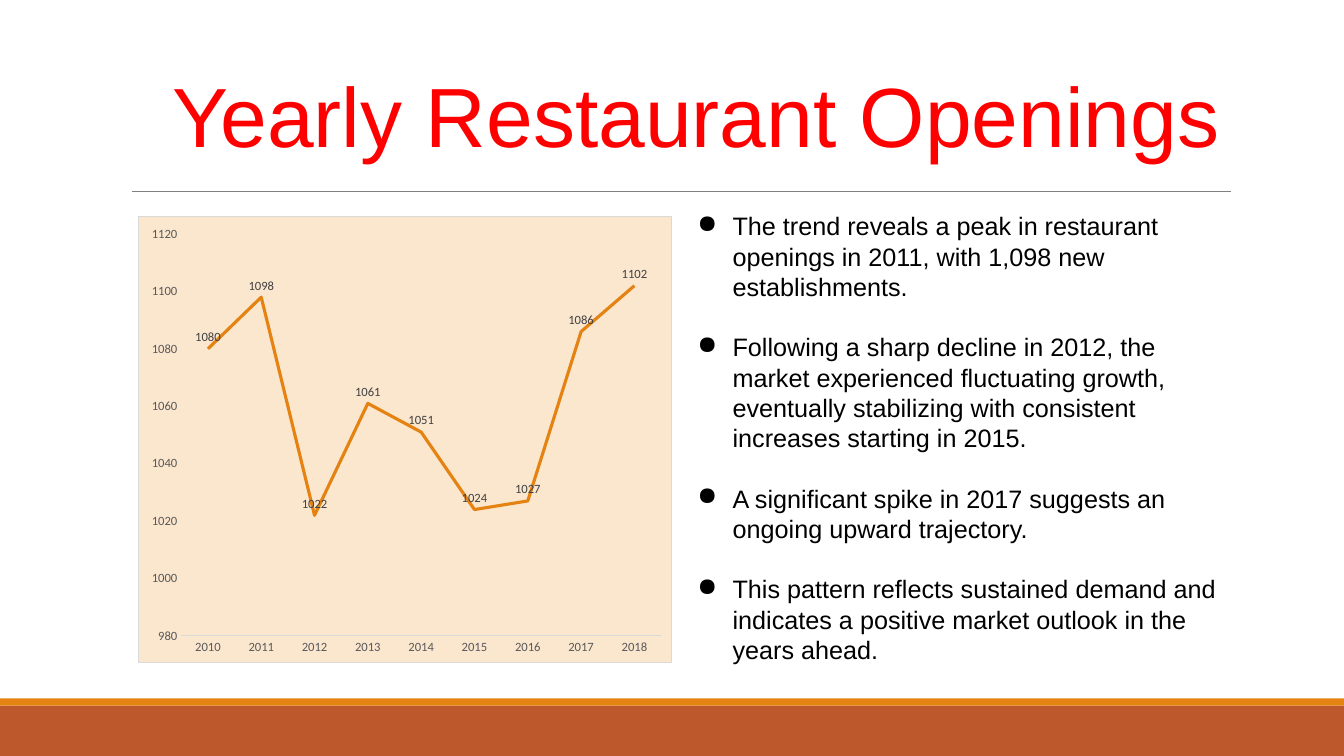
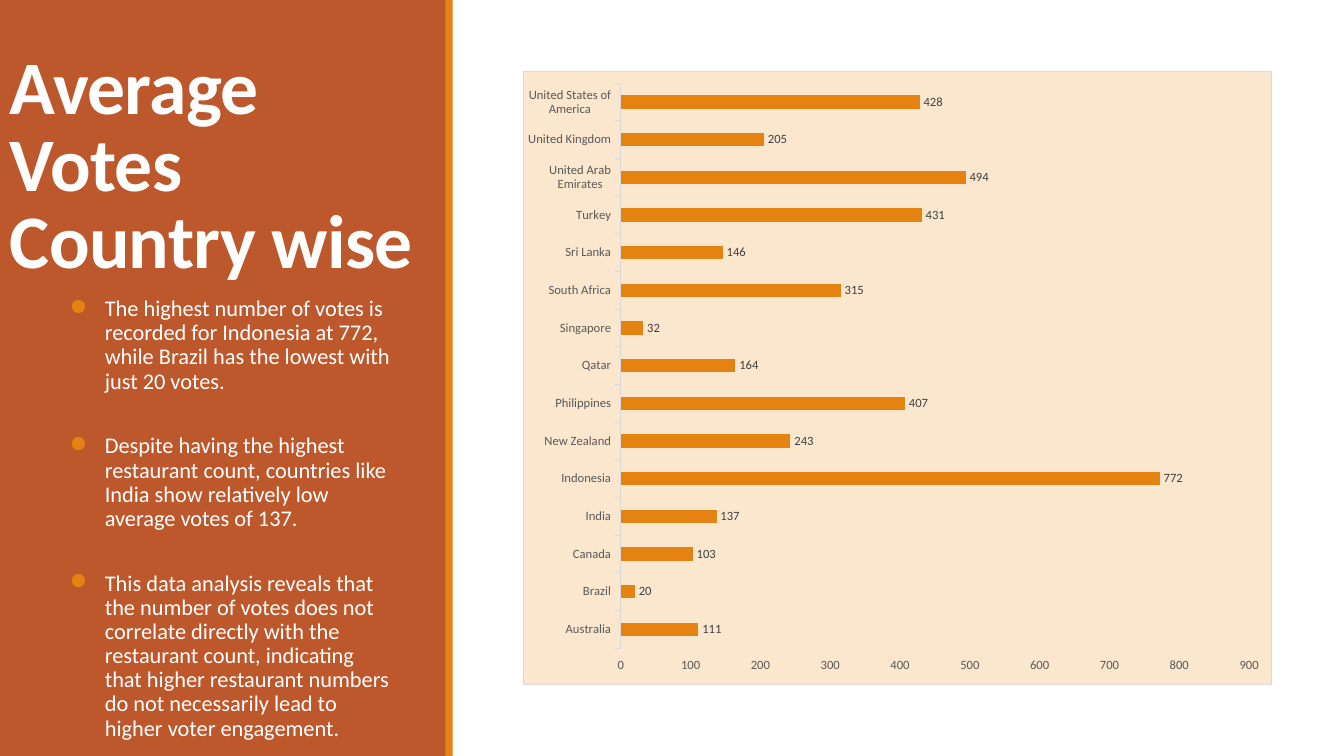
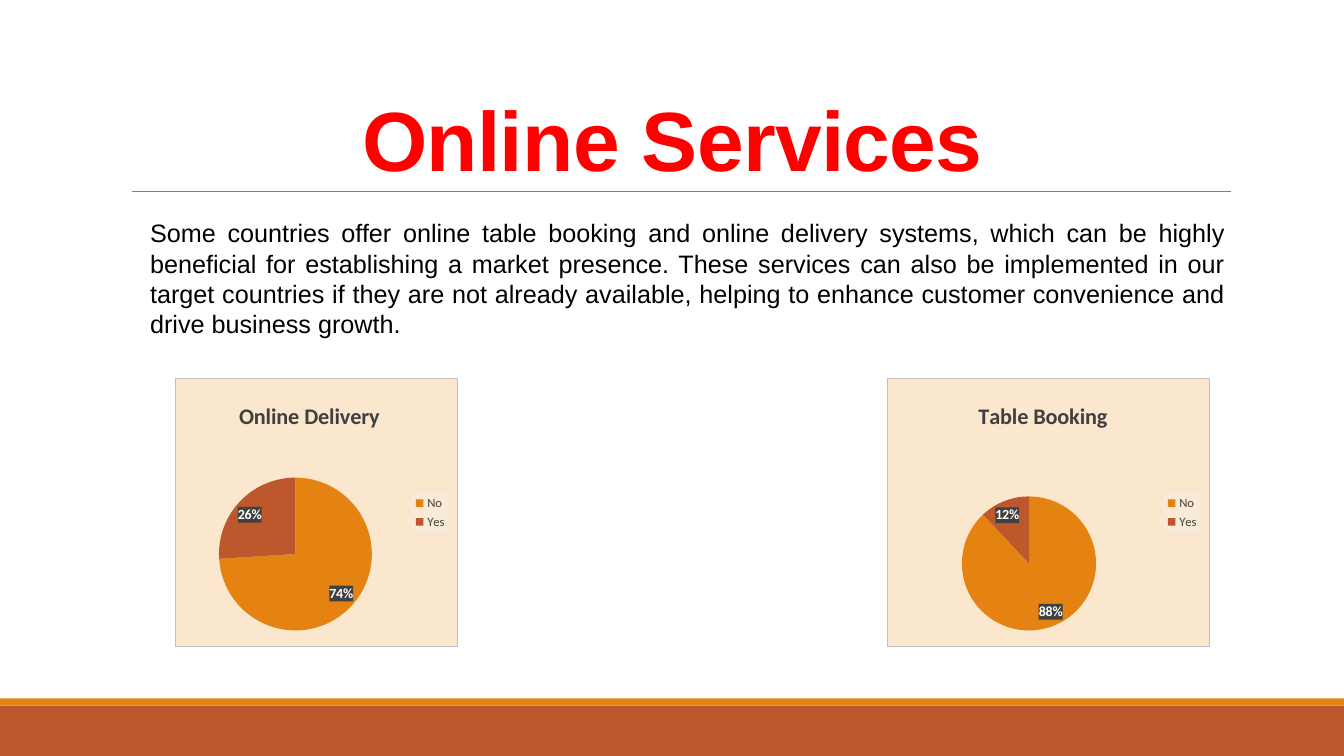
from lxml.etree import SubElement
from pptx import Presentation
from pptx.chart.data import CategoryChartData
from pptx.dml.color import RGBColor
from pptx.enum.chart import XL_CHART_TYPE as CT, XL_LABEL_POSITION as LP
from pptx.enum.chart import XL_LEGEND_POSITION as LEG, XL_TICK_MARK as TM
from pptx.enum.shapes import MSO_CONNECTOR as MC, MSO_SHAPE as MS
from pptx.enum.text import MSO_ANCHOR as MA, PP_ALIGN as PA
from pptx.oxml import parse_xml
from pptx.oxml.ns import nsdecls, qn
from pptx.util import Emu, Inches, Pt

COLS, ROWS, CELL = 160, 90, 76200
RUST, ORANGE, CREAM, WHITE, BLACK = "BD582C", "E48312", "FBE6CE", "FFFFFF", "000000"
RED, RULE, GREY, DARK, PALE = "FF0000", "808080", "595959", "404040", "D9D9D9"

TREND_POINTS = [
    "The trend reveals a peak in restaurant openings in 2011, with 1,098 new establishments.",
    "Following a sharp decline in 2012, the market experienced fluctuating growth, "
    "eventually stabilizing with consistent increases starting in 2015.",
    "A significant spike in 2017 suggests an ongoing upward trajectory.",
    "This pattern reflects sustained demand and indicates a positive market outlook "
    "in the years ahead.",
]
VOTE_POINTS = [
    "The highest number of votes is recorded for Indonesia at 772, while Brazil has "
    "the lowest with just 20 votes.",
    "Despite having the highest restaurant count, countries like India show relatively "
    "low average votes of 137.",
    "This data analysis reveals that the number of votes does not correlate directly "
    "with the restaurant count, indicating that higher restaurant numbers do not "
    "necessarily lead to higher voter engagement.",
]
SERVICES_TEXT = (
    "Some countries offer online table booking and online delivery systems, which can be "
    "highly beneficial for establishing a market presence. These services can also be "
    "implemented in our target countries if they are not already available, helping to "
    "enhance customer convenience and drive business growth."
)
OPENINGS = dict(zip(map(str, range(2010, 2019)),
                    [1080, 1098, 1022, 1061, 1051, 1024, 1027, 1086, 1102]))
VOTES = {
    "Australia": 111, "Brazil": 20, "Canada": 103, "India": 137, "Indonesia": 772,
    "New Zealand": 243, "Philippines": 407, "Qatar": 164, "Singapore": 32,
    "South Africa": 315, "Sri Lanka": 146, "Turkey": 431, "United Arab Emirates": 494,
    "United Kingdom": 205, "United States of America": 428,
}


def rgb(value):
    """Turn a hex string into a colour."""
    return RGBColor.from_string(value)


def grid(*cells):
    """Turn grid columns and rows into lengths."""
    return [Emu(round(c * CELL)) for c in cells]


def assign(target, **values):
    """Set several attributes on one object."""
    for name, value in values.items():
        setattr(target, name, value)


def style_font(font, size, color, bold=False, name="Calibri"):
    """Format one font."""
    assign(font, size=Pt(size), bold=bold, name=name)
    font.color.rgb = rgb(color)


def add_block(s, box, color):
    """Add a plain filled rectangle."""
    sp = s.shapes.add_shape(MS.RECTANGLE, *grid(*box))
    sp.shadow.inherit = False
    sp.fill.solid()
    sp.fill.fore_color.rgb = rgb(color)
    sp.line.fill.background()


def add_footer(s):
    """Add the two bands and the rule under the title."""
    add_block(s, (0, 84, COLS, 6), RUST)
    add_block(s, (0, 83.16, COLS, 0.84), ORANGE)
    rule = s.shapes.add_connector(MC.STRAIGHT, *grid(15.72, 22.8, 146.52, 22.8))
    rule.line.width = Pt(0.5)
    rule.line.color.rgb = rgb(RULE)
    SubElement(rule._element.spPr, qn("a:effectLst"))


def add_text(s, box, texts, font, para=None, inset=(0.1, 0.1), anchor=MA.TOP,
             spacing=None, indent=0, bullet=None):
    """Add a wrapped text box, with bullets if a bullet colour is given."""
    tf = s.shapes.add_textbox(*grid(*box)).text_frame
    side, top = map(Inches, inset)
    assign(tf, word_wrap=True, vertical_anchor=anchor, margin_left=side,
           margin_right=side, margin_top=top, margin_bottom=top)
    for i, text in enumerate(texts):
        p = tf.paragraphs[0] if i == 0 else tf.add_paragraph()
        assign(p, **(para or {}))
        r = p.add_run()
        r.text = text
        style_font(r.font, **font)
        if spacing:
            r._r.get_or_add_rPr().set("spc", str(spacing))
        pPr = p._p.get_or_add_pPr()
        if bullet:
            pPr.set("marL", str(Inches(0.5)))
            pPr.set("indent", str(Inches(-0.35)))
            SubElement(SubElement(pPr, qn("a:buClr")), qn("a:srgbClr"), val=bullet)
            SubElement(pPr, qn("a:buChar"), char="●")
        elif indent:
            pPr.set("marL", str(Inches(indent)))


def add_title(s, box, text, **options):
    """Add a large centred red title."""
    bold = options.pop("bold", False)
    para = {"alignment": PA.CENTER, "line_spacing": options.pop("leading", 1.0)}
    add_text(s, box, [text], dict(size=60, color=RED, bold=bold, name="Arial"), para, **options)


def layout_xml(x, y, w=None, h=None):
    """Build a manual chart layout from shares of the chart."""
    parts = '<c:layoutTarget val="inner"/>' if w else ""
    parts += '<c:xMode val="edge"/><c:yMode val="edge"/>'
    for tag, value in zip("xywh", (x, y, w, h)):
        parts += f'<c:{tag} val="{value}"/>' if value is not None else ""
    return parse_xml(f"<c:layout {nsdecls('c')}><c:manualLayout>{parts}</c:manualLayout></c:layout>")


def box_xml(fill, border=None):
    """Build the fill and border of a chart part."""
    solid = '<a:solidFill><a:srgbClr val="{}"/></a:solidFill>'
    line = f'<a:ln w="9525">{solid.format(border)}</a:ln>' if border else ""
    return parse_xml(f"<c:spPr {nsdecls('c', 'a')}>{solid.format(fill)}{line}</c:spPr>")


def drop_layout(element):
    """Remove an automatic layout."""
    for old in element.findall(qn("c:layout")):
        element.remove(old)


def add_chart(s, box, kind, data, plot_area, border=PALE):
    """Add a cream chart with one series and a fixed plot area."""
    cd = CategoryChartData()
    cd.categories = list(data)
    cd.add_series("Series 1", list(data.values()))
    chart = s.shapes.add_chart(kind, *grid(*box), cd).chart
    assign(chart, has_legend=False, has_title=False)
    style_font(chart.font, 10, BLACK)
    space = chart._chartSpace
    if space.find(qn("c:roundedCorners")) is None:
        space.chart.addprevious(parse_xml(f'<c:roundedCorners {nsdecls("c")} val="0"/>'))
    space.chart.addnext(box_xml(CREAM, border))
    area = space.chart.plotArea
    drop_layout(area)
    area.insert(0, layout_xml(*plot_area))
    chart.plots[0].vary_by_categories = kind == CT.PIE
    return chart


def add_labels(chart, position, size, color, **options):
    """Show data labels on the plot."""
    plot = chart.plots[0]
    plot.has_data_labels = True
    labels = plot.data_labels
    bold = options.pop("bold", False)
    assign(labels, position=position, **options)
    style_font(labels.font, size, color, bold)
    return labels


def style_axes(chart, low, high, step, tick):
    """Format both axes."""
    for axis in (chart.category_axis, chart.value_axis):
        assign(axis, has_major_gridlines=False, major_tick_mark=tick, minor_tick_mark=TM.NONE)
        style_font(axis.tick_labels.font, 9, GREY)
    assign(chart.value_axis, minimum_scale=low, maximum_scale=high, major_unit=step)
    chart.value_axis.format.line.fill.background()
    line = chart.category_axis.format.line
    line.width = Pt(0.75)
    line.color.rgb = rgb(PALE)


def add_line_chart(s, box):
    """Add the chart of yearly openings."""
    chart = add_chart(s, box, CT.LINE, OPENINGS, (0.08, 0.04, 0.9, 0.9))
    style_axes(chart, 980, 1120, 20, TM.NONE)
    series = chart.plots[0].series[0]
    series.smooth = False
    series.format.line.width = Pt(2.25)
    series.format.line.color.rgb = rgb(ORANGE)
    add_labels(chart, LP.ABOVE, 9, DARK, show_value=True)


def add_bar_chart(s, box):
    """Add the chart of votes by country."""
    chart = add_chart(s, box, CT.BAR_CLUSTERED, VOTES, (0.13, 0.02, 0.84, 0.92))
    style_axes(chart, 0, 900, 100, TM.OUTSIDE)
    chart.plots[0].gap_width = 182
    fill = chart.plots[0].series[0].format.fill
    fill.solid()
    fill.fore_color.rgb = rgb(ORANGE)
    add_labels(chart, LP.OUTSIDE_END, 9, DARK, show_value=True)


def add_pie(s, box, title, no, plot_area, title_at):
    """Add a titled pie of No and Yes shares."""
    chart = add_chart(s, box, CT.PIE, {"No": no, "Yes": 100 - no}, plot_area, "BFBFBF")
    chart.has_title = True
    r = chart.chart_title.text_frame.paragraphs[0].add_run()
    r.text = title
    style_font(r.font, 16, DARK, True)
    element = chart.chart_title._element
    drop_layout(element)
    element.find(qn("c:tx")).addnext(layout_xml(*title_at))
    for i, color in enumerate((ORANGE, RUST)):
        fill = chart.plots[0].series[0].points[i].format.fill
        fill.solid()
        fill.fore_color.rgb = rgb(color)
    labels = add_labels(chart, LP.BEST_FIT, 10, WHITE, bold=True, show_value=False,
                        show_percentage=True, number_format="0%", number_format_is_linked=False)
    labels._element.find(qn("c:txPr")).addprevious(box_xml(DARK))
    chart.has_legend = True
    assign(chart.legend, position=LEG.RIGHT, include_in_layout=False)
    style_font(chart.legend.font, 9, DARK)
    chart.legend._element.find(qn("c:txPr")).addprevious(box_xml("F9E9D7"))


def add_panel(s, box):
    """Add the coloured side panel with its title and bullets."""
    x, y, w, h = box
    add_block(s, box, RUST)
    add_text(s, (x, y + 6.84, w - 0.84, 27.6), ["Average Votes Country wise"],
             dict(size=54, color=WHITE, bold=True), dict(line_spacing=0.85, space_after=Pt(6)),
             (0.1, 0.05), MA.BOTTOM, -50)
    add_text(s, (x + 6.48, y + 34.8, w - 12.72, 32.28), VOTE_POINTS, dict(size=16, color=WHITE),
             dict(line_spacing=0.9, space_after=Pt(29)), (0, 0.05), bullet=ORANGE)
    add_block(s, (x + w - 0.12, y, 0.84, h), ORANGE)


def openings_slide(s):
    """Build the slide of yearly openings."""
    add_footer(s)
    add_title(s, (14.88, 6.36, 135.96, 14.52), "Yearly Restaurant Openings")
    add_line_chart(s, (16.44, 25.68, 63.6, 53.28))
    add_text(s, (80.04, 23.88, 66.48, 57), TREND_POINTS,
             dict(size=18, color=BLACK, name="Arial"), dict(space_after=Pt(21.6)), bullet=BLACK)


def votes_slide(s):
    """Build the slide of votes by country."""
    add_panel(s, (0, 0, 53.16, ROWS))
    add_bar_chart(s, (62.28, 8.4, 89.16, 73.2))


def services_slide(s):
    """Build the slide of online services."""
    add_footer(s)
    add_title(s, (34.44, 11.04, 91.2, 10.56), "Online Services", bold=True, leading=0.85, spacing=-50)
    add_text(s, (14.88, 24.72, 132.12, 20.28), [SERVICES_TEXT],
             dict(size=18, color=BLACK, name="Arial"), dict(alignment=PA.JUSTIFY), indent=0.15)
    add_pie(s, (105.6, 45, 38.4, 32.04), "Table Booking", 88, (0.23, 0.44, 0.42, 0.5), (0.27, 0.07))
    add_pie(s, (20.88, 45, 33.6, 32.04), "Online Delivery", 74, (0.15, 0.37, 0.55, 0.57), (0.21, 0.07))


def main():
    """Build and save the presentation."""
    prs = Presentation()
    prs.slide_width, prs.slide_height = grid(COLS, ROWS)
    for build in (openings_slide, votes_slide, services_slide):
        build(prs.slides.add_slide(prs.slide_layouts[6]))
    prs.save("out.pptx")


if __name__ == "__main__":
    main()
